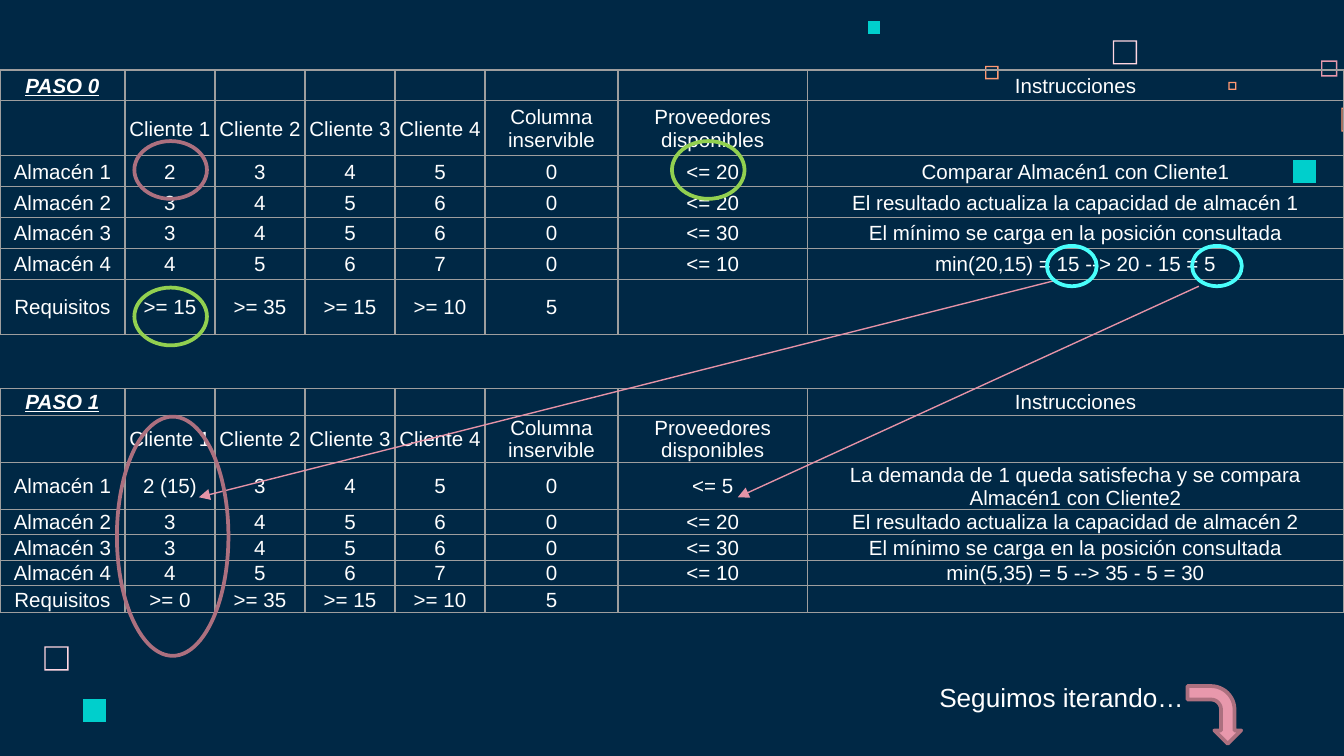
"""Build a slide with two steps of a transport problem, linked by arrows."""
from lxml.etree import SubElement
from pptx import Presentation
from pptx.dml.color import RGBColor
from pptx.enum.shapes import MSO_CONNECTOR, MSO_SHAPE
from pptx.enum.text import MSO_ANCHOR, PP_ALIGN
from pptx.oxml import parse_xml
from pptx.oxml.ns import nsdecls, qn
from pptx.util import Inches, Pt

NAVY = RGBColor(0x00, 0x28, 0x45)
WHITE = RGBColor(0xFF, 0xFF, 0xFF)
GRAY = RGBColor(0x9E, 0x9E, 0x9E)
BLUSH = RGBColor(0xFF, 0xD6, 0xE1)
PINK = RGBColor(0xE8, 0x98, 0xAC)
ROSE = RGBColor(0xE5, 0x93, 0xA7)
MAUVE = RGBColor(0xAC, 0x70, 0x7F)
CORAL = RGBColor(0xFF, 0x99, 0x73)
TEAL = RGBColor(0x00, 0xCF, 0xCC)
GREEN = RGBColor(0x92, 0xD0, 0x50)
CYAN = RGBColor(0x49, 0xFF, 0xFC)

WIDTH = 10
HEIGHT = WIDTH * 9 / 16
COLS = [0.93, 0.67, 0.67, 0.67, 0.67, 0.99, 1.41, 3.99]
HEADS = ["", "Cliente 1", "Cliente 2", "Cliente 3", "Cliente 4",
         "Columna inservible", "Proveedores disponibles", ""]
COSTS = [["2", "3", "4", "5"], ["3", "4", "5", "6"],
         ["3", "4", "5", "6"], ["4", "5", "6", "7"]]
STEPS = [
    dict(title="PASO 0", top=0.52, rows=[0.23, 0.41, 0.23, 0.23, 0.23, 0.23, 0.41],
         first="2", stock=20, need=15,
         notes=["Comparar Almacén1 con Cliente1",
                "El resultado actualiza la capacidad de almacén 1",
                "El mínimo se carga en la posición consultada",
                "min(20,15) = 15 --> 20 - 15 = 5"]),
    dict(title="PASO 1", top=2.89, rows=[0.19] * 7,
         first="2 (15)", stock=5, need=0,
         notes=["La demanda de 1 queda satisfecha y se compara Almacén1 con Cliente2",
                "El resultado actualiza la capacidad de almacén 2",
                "El mínimo se carga en la posición consultada",
                "min(5,35) = 5 --> 35 - 5 = 30"]),
]
SQUARES = [
    (8.28, 0.3, 0.18, BLUSH, True), (9.83, 0.45, 0.12, PINK, True),
    (9.14, 0.61, 0.06, CORAL, True), (9.98, 0.8, 0.18, CORAL, True),
    (9.62, 1.19, 0.17, TEAL, False), (7.33, 0.49, 0.1, CORAL, True),
    (6.46, 0.16, 0.09, TEAL, False), (0.33, 4.81, 0.18, BLUSH, True),
    (0.62, 5.2, 0.17, TEAL, False),
]
RINGS = [
    (1, 1.05, 0.54, 0.43, MAUVE), (1, 2.14, 0.54, 0.43, GREEN),
    (5, 1.05, 0.54, 0.43, GREEN), (7.79, 1.83, 0.37, 0.3, CYAN),
    (8.87, 1.83, 0.37, 0.3, CYAN), (0.87, 3.1, 0.83, 1.78, MAUVE),
]
ARROWS = [(7.84, 2.09, 1.48, 3.7), (8.92, 2.13, 5.49, 3.7)]


def write(frame, text, size=11, align=None, strong=False):
    para = frame.paragraphs[0]
    para.alignment = align
    if not text:
        SubElement(para._p, qn("a:endParaRPr"), sz=str(size * 100))
        return
    run = para.add_run()
    run.text = text
    font = run.font
    font.name, font.size, font.color.rgb = "Arial", Pt(size), WHITE
    font.bold = font.italic = font.underline = strong


def square(shapes, left, top, side, color, hollow):
    def corners(gap):
        low, far, high, end = left + gap, left + side - gap, top + gap, top + side - gap
        return [(Inches(x), Inches(y)) for x, y in
                [(low, high), (low, end), (far, end), (far, high)]]

    outer = corners(0)
    form = shapes.build_freeform(*outer[0])
    form.add_line_segments(outer[1:])
    if hollow:
        inner = corners(0.01)[::-1]
        form.move_to(*inner[0])
        form.add_line_segments(inner[1:])
    shape = form.convert_to_shape()
    shape.shadow.inherit = False
    shape.fill.solid()
    shape.fill.fore_color.rgb = color
    shape.line.fill.background()


def border(cell):
    props = cell._tc.get_or_add_tcPr()
    for i, side in enumerate("LRTB"):
        props.insert(i, parse_xml(
            f'<a:ln{side} {nsdecls("a")} w="9525"><a:solidFill>'
            f'<a:srgbClr val="{GRAY}"/></a:solidFill></a:ln{side}>'))


def grid(step):
    costs = [[step["first"], *COSTS[0][1:]], *COSTS[1:]]
    stocks = [step["stock"], 20, 30, 10]
    body = [[f"Almacén {i}", *cost, "0", f"<= {stock}", note] for i, (cost, stock, note)
            in enumerate(zip(costs, stocks, step["notes"]), 1)]
    needs = [f">= {n}" for n in (step["need"], 35, 15, 10)]
    return [[step["title"], *[""] * 6, "Instrucciones"], HEADS, *body,
            ["Requisitos", *needs, "5", "", ""]]


def table(shapes, step):
    data = grid(step)
    tab = shapes.add_table(len(data), len(COLS), 0, Inches(step["top"]),
                           Inches(WIDTH), Inches(sum(step["rows"]))).table
    tab.first_row = tab.horz_banding = False
    for col, width in zip(tab.columns, COLS):
        col.width = Inches(width)
    for r, (row, high) in enumerate(zip(data, step["rows"])):
        tab.rows[r].height = Inches(high)
        for c, text in enumerate(row):
            cell = tab.cell(r, c)
            cell.margin_left = cell.margin_right = cell.margin_top = Inches(0.01)
            cell.margin_bottom = 0
            cell.vertical_anchor = MSO_ANCHOR.MIDDLE
            cell.fill.background()
            border(cell)
            write(cell.text_frame, text, align=PP_ALIGN.CENTER, strong=r == c == 0)


def outline(shapes, kind, box, color):
    shape = shapes.add_shape(kind, *map(Inches, box))
    shape.shadow.inherit = False
    shape.fill.background()
    shape.line.color.rgb, shape.line.width = color, Pt(2)
    return shape


def arrow(shapes, ends):
    link = shapes.add_connector(MSO_CONNECTOR.STRAIGHT, *map(Inches, ends))
    link.line.color.rgb, link.line.width = ROSE, Pt(0.75)
    props = link._element.spPr
    SubElement(props.find(qn("a:ln")), qn("a:tailEnd"), type="triangle")
    SubElement(props, qn("a:effectLst"))


def main():
    deck = Presentation()
    deck.slide_width, deck.slide_height = Inches(WIDTH), Inches(HEIGHT)
    slide = deck.slides.add_slide(deck.slide_layouts[6])
    slide.background.fill.solid()
    slide.background.fill.fore_color.rgb = NAVY
    shapes = slide.shapes
    for item in SQUARES:
        square(shapes, *item)
    for step in STEPS:
        table(shapes, step)
    for ends in ARROWS:
        arrow(shapes, ends)
    for *box, color in RINGS:
        outline(shapes, MSO_SHAPE.OVAL, box, color)
    label = shapes.add_textbox(*map(Inches, (6.89, 5.02, 2.39, 0.34))).text_frame
    label.word_wrap = True
    write(label, "Seguimos iterando…", size=14)
    turn = outline(shapes, MSO_SHAPE.BENT_ARROW, (8.82, 5.12, 0.43, 0.4), MAUVE)
    turn.rotation = 90
    turn.fill.solid()
    turn.fill.fore_color.rgb = PINK
    deck.save("out.pptx")


if __name__ == "__main__":
    main()
